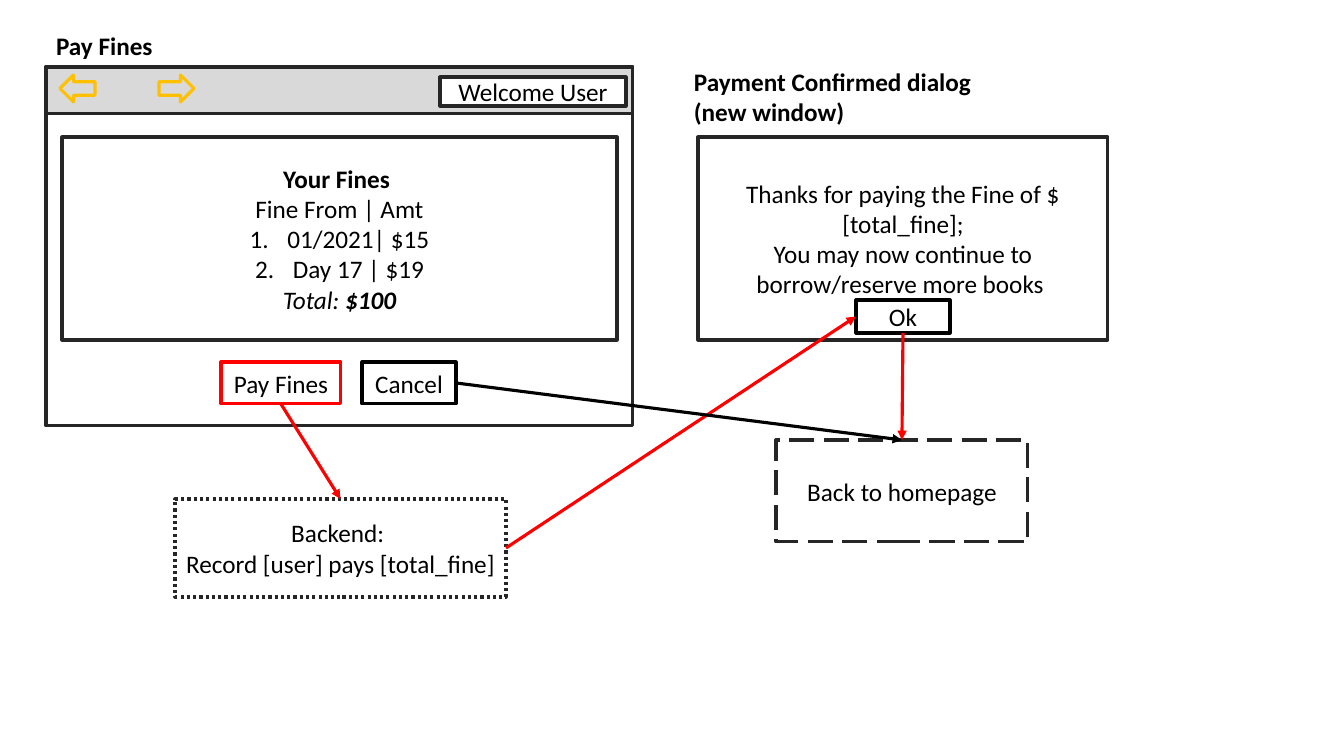
from dataclasses import dataclass

import pptx
import pptx.dml.color
import pptx.enum.dml
import pptx.enum.shapes
import pptx.enum.text
import pptx.oxml
import pptx.oxml.ns
import pptx.util

SHAPE = pptx.enum.shapes.MSO_SHAPE
DASH = pptx.enum.dml.MSO_LINE
ALIGN = pptx.enum.text.PP_ALIGN
ANCHOR = pptx.enum.text.MSO_ANCHOR
TOP, LEFT, BOTTOM, RIGHT = range(4)  # connection sites of a rectangle


@dataclass(frozen=True)
class Theme:
    font: str = "Calibri"
    size: int = 18
    line_width: float = 2.25
    text: str = "000000"
    white: str = "FFFFFF"
    border: str = "262626"
    toolbar: str = "D9D9D9"
    navigation: str = "FFC000"
    payment: str = "FF0000"
    cancel: str = "000000"


THEME = Theme()


def px(pixels):
    return pptx.util.Emu(round(pixels * 914400 / 100.8))


def rgb(value):
    return pptx.dml.color.RGBColor.from_string(value)


def add_xml(parent, tag, attributes=""):
    namespace = pptx.oxml.ns.nsdecls("a")
    parent.append(pptx.oxml.parse_xml(f"<a:{tag} {namespace} {attributes}/>"))


def write(frame, lines, align=ALIGN.CENTER, anchor=ANCHOR.MIDDLE, bold=False, numbered=()):
    """Each line is a string or a list of (text, bold, italic) runs."""
    frame.word_wrap = True
    frame.auto_size = pptx.enum.text.MSO_AUTO_SIZE.NONE
    frame.vertical_anchor = anchor
    for index, line in enumerate(lines):
        paragraph = frame.paragraphs[0] if index == 0 else frame.add_paragraph()
        paragraph.alignment = align
        if index in numbered:
            properties = paragraph._p.get_or_add_pPr()
            properties.set("marL", "342900")
            properties.set("indent", "-342900")
            add_xml(properties, "buAutoNum", 'type="arabicPeriod"')
        for text, strong, italic in [(line, bold, False)] if isinstance(line, str) else line:
            run = paragraph.add_run()
            run.text = text
            run.font.name = THEME.font
            run.font.size = pptx.util.Pt(THEME.size)
            run.font.color.rgb = rgb(THEME.text)
            run.font.bold, run.font.italic = strong, italic


class Wireframe:
    def __init__(self, slide, theme):
        self.slide, self.theme = slide, theme

    def outline(self, line, color, dash=None):
        line.color.rgb = rgb(color)
        line.width = pptx.util.Pt(self.theme.line_width)
        if dash is not None:
            line.dash_style = dash

    def shape(self, kind, bounds, color, fill=None, dash=None):
        shape = self.slide.shapes.add_shape(kind, *map(px, bounds))
        shape.shadow.inherit = False
        if fill:
            shape.fill.solid()
            shape.fill.fore_color.rgb = rgb(fill)
        else:
            shape.fill.background()
        self.outline(shape.line, color, dash)
        return shape

    def box(self, bounds, lines=(), color=None, fill=None, dash=None, **text_format):
        box = self.shape(SHAPE.RECTANGLE, bounds, color or self.theme.border,
                         fill or self.theme.white, dash)
        write(box.text_frame, lines, **text_format)
        return box

    def title(self, bounds, text):
        title = self.slide.shapes.title
        title.left, title.top, title.width, title.height = map(px, bounds)
        write(title.text_frame, [text], align=ALIGN.LEFT, anchor=ANCHOR.TOP, bold=True)

    def heading(self, bounds, lines):
        heading = self.slide.shapes.add_textbox(*map(px, bounds))
        write(heading.text_frame, lines, align=ALIGN.LEFT, anchor=ANCHOR.TOP, bold=True)

    def arrow(self, source, source_site, target, target_site, color):
        arrow = self.slide.shapes.add_connector(
            pptx.enum.shapes.MSO_CONNECTOR.STRAIGHT, 0, 0, 0, 0)
        arrow.begin_connect(source, source_site)
        arrow.end_connect(target, target_site)
        self.outline(arrow.line, color)
        properties = arrow._element.spPr
        add_xml(properties.find(pptx.oxml.ns.qn("a:ln")), "tailEnd", 'type="triangle"')
        add_xml(properties, "effectLst")


presentation = pptx.Presentation()
presentation.slide_width = px(1344)
presentation.slide_height = px(756)
title_only = presentation.slide_layouts[5]
page = Wireframe(presentation.slides.add_slide(title_only), THEME)

# Pay Fines window with its toolbar
page.title((46, 25, 277, 40), "Pay Fines")
page.box((46, 67, 587, 359))
page.box((46, 67, 587, 47), fill=THEME.toolbar)
page.box((440, 77, 186, 29), ["Welcome User"])
for direction, left in ((SHAPE.LEFT_ARROW, 60), (SHAPE.RIGHT_ARROW, 159)):
    page.shape(direction, (left, 75, 35, 27), THEME.navigation)

# List of fines
page.box((62, 137, 555, 203), [
    [("Your Fines ", True, False)],
    "Fine From | Amt",
    "01/2021| $15",
    "Day 17 | $19",
    [("Total: ", False, True), ("$100", True, True)],
], numbered=(2, 3))

# Window buttons and the backend step
pay_button = page.box((221, 362, 120, 42), ["Pay Fines"], color=THEME.payment)
backend = page.box((175, 499, 331, 98), ["Backend: ", "Record [user] pays [total_fine]"],
                   dash=DASH.ROUND_DOT)
page.arrow(pay_button, BOTTOM, backend, TOP, THEME.payment)

# Confirmation dialog
page.box((698, 137, 410, 203), [
    "Thanks for paying the Fine of $[total_fine];",
    "You may now continue to borrow/reserve more books ",
])
page.heading((684, 61, 423, 72), ["Payment Confirmed dialog", "(new window)"])
ok_button = page.box((856, 300, 94, 33), ["Ok"], color=THEME.cancel)
page.arrow(backend, RIGHT, ok_button, LEFT, THEME.payment)

# Return to the homepage
homepage = page.box((776, 440, 252, 102), ["Back to homepage"], dash=DASH.LONG_DASH)
cancel_button = page.box((362, 362, 94, 42), ["Cancel"], color=THEME.cancel)
page.arrow(ok_button, BOTTOM, homepage, TOP, THEME.payment)
page.arrow(cancel_button, RIGHT, homepage, TOP, THEME.cancel)

presentation.save("out.pptx")
